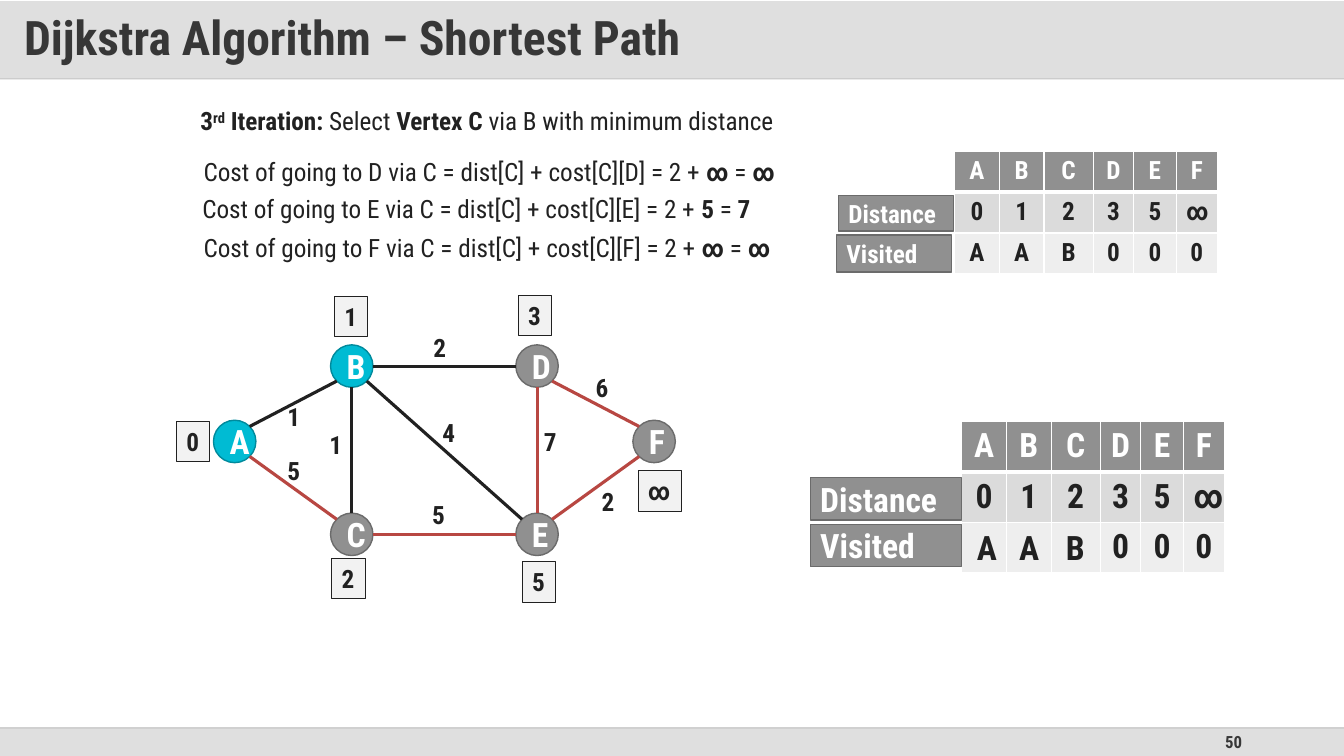
from math import hypot

from lxml.etree import SubElement
from pptx import Presentation
from pptx.dml.color import RGBColor
from pptx.enum.shapes import MSO_CONNECTOR, MSO_SHAPE
from pptx.enum.text import MSO_ANCHOR, MSO_AUTO_SIZE, PP_ALIGN
from pptx.oxml.ns import qn
from pptx.util import Cm, Pt

WHITE = RGBColor(0xFF, 0xFF, 0xFF)
INK = RGBColor(0x21, 0x21, 0x21)
DARK = RGBColor(0x37, 0x37, 0x37)
GREY = RGBColor(0x90, 0x90, 0x90)
EDGE = RGBColor(0x6B, 0x6B, 0x6B)
CYAN = RGBColor(0x00, 0xBB, 0xD3)
TEAL = RGBColor(0x00, 0x8A, 0x9C)
RED = RGBColor(0xB8, 0x47, 0x42)
PALE = RGBColor(0xF2, 0xF2, 0xF2)
BAND = RGBColor(0xDB, 0xDB, 0xDB)
LIGHT = RGBColor(0xEE, 0xEE, 0xEE)
SILVER = RGBColor(0xC0, 0xC0, 0xC0)
FOOT = RGBColor(0xDF, 0xDF, 0xDF)
RULE = RGBColor(0xD9, 0xD9, 0xD9)
BASE = RGBColor(0xBF, 0xBF, 0xBF)

SIZE = 1.07
NODES = {"A": (5.38, 10.59), "B": (8.33, 8.69), "C": (8.33, 12.93),
         "D": (13, 8.69), "E": (13, 12.93), "F": (15.95, 10.59)}
EDGES = {"AB": INK, "DF": RED, "AC": RED, "CE": RED, "EF": RED,
         "DE": RED, "BC": INK, "BD": INK, "BE": INK}
COSTS = [("1", 6.99, 9.98), ("1", 8.05, 10.69), ("5", 6.99, 11.35),
         ("2", 10.67, 8.26), ("4", 10.9, 10.39), ("7", 13.46, 10.62),
         ("6", 14.76, 9.25), ("2", 14.91, 12.12), ("5", 10.64, 12.47)]
MARKS = [("0", 4.45, 10.62, 0.84), ("1", 8.43, 7.47, 0.84), ("3", 13.06, 7.44, 0.84),
         ("2", 8.36, 14.07, 0.84), ("5", 13.16, 14.15, 0.84), ("∞", 16.08, 11.86, 1.09)]
SUMS = [("D", "∞", "∞", 4.88, 3.81, 15.27), ("E", "5", "7", 4.85, 4.75, 14.66),
        ("F", "∞", "∞", 4.88, 5.72, 15.06)]
COLS = [1.14, 1.12, 1.24, 1.02, 1.07, 1.04]
HEAD, DIST, SEEN = "ABCDEF", "01235∞", "AAB000"
TAGS = [("Distance", 21.13, 4.93, 2.9, 0.89, 18), ("Visited", 21.08, 5.92, 2.9, 0.94, 18),
        ("Distance", 20.42, 12.04, 3.81, 1.07, 24), ("Visited", 20.42, 13.21, 3.81, 1.07, 24)]


def fade(fill, part):
    """Set the opacity of a solid fill element, in percent."""
    SubElement(fill[0], qn("a:alpha")).set("val", str(part * 1000))


class Board:
    """Hold the style and the current slide."""

    def __init__(self, slide):
        self.slide = slide
        self.style = {"name": "Roboto Condensed", "bold": True}

    def words(self, frame, runs, size, tint, align=PP_ALIGN.LEFT):
        """Fill the first paragraph with (text, changes) runs."""
        line = frame.paragraphs[0]
        line.alignment = align
        for text, change in runs:
            run = line.add_run()
            run.text = text
            run.font.color.rgb = tint
            for key, value in {**self.style, "size": Pt(size), **change}.items():
                setattr(run.font, key, value)
        return line

    def shape(self, kind, box, fill, edge=None, width=1):
        """Draw a preset shape with no shadow."""
        item = self.slide.shapes.add_shape(kind, *map(Cm, box))
        item.shadow.inherit = False
        item.fill.solid()
        item.fill.fore_color.rgb = fill
        if edge is None:
            item.line.fill.background()
        else:
            item.line.color.rgb = edge
            item.line.width = Pt(width)
        item.text_frame.vertical_anchor = MSO_ANCHOR.MIDDLE
        return item

    def fit(self, frame):
        """Let a frame grow around a single line."""
        frame.word_wrap = False
        frame.auto_size = MSO_AUTO_SIZE.SHAPE_TO_FIT_TEXT

    def text(self, box, runs, size=18, tint=INK, align=PP_ALIGN.LEFT):
        """Place a text box that holds one line."""
        frame = self.slide.shapes.add_textbox(*map(Cm, box)).text_frame
        self.fit(frame)
        return self.words(frame, runs, size, tint, align)

    def line(self, start, end, tint, width):
        """Draw a straight line with no shadow."""
        item = self.slide.shapes.add_connector(
            MSO_CONNECTOR.STRAIGHT, *map(Cm, (*start, *end)))
        SubElement(item._element.spPr, qn("a:effectLst"))
        item.line.color.rgb = tint
        item.line.width = Pt(width)
        return item

    def edge(self, pair, tint):
        """Join the rims of two nodes at the nearest eighth of a turn."""
        half = SIZE / 2
        (ax, ay), (bx, by) = [(x + half, y + half) for x, y in map(NODES.get, pair)]
        dx, dy = (bx > ax) - (bx < ax), (by > ay) - (by < ay)
        step = half / hypot(dx, dy)
        self.line((ax + dx * step, ay + dy * step),
                  (bx - dx * step, by - dy * step), tint, 2.25)

    def cell(self, cell, word, fill, tint, size, lower):
        """Style one table cell and its white borders."""
        props = cell._tc.get_or_add_tcPr()
        for side, width in {"lnL": 1, "lnR": 1, "lnT": 1, "lnB": lower}.items():
            rim = SubElement(props, qn("a:" + side), w=str(int(Pt(width))))
            SubElement(SubElement(rim, qn("a:solidFill")), qn("a:srgbClr"), val=str(WHITE))
        cell.fill.solid()
        cell.fill.fore_color.rgb = fill
        if word:
            self.words(cell.text_frame, [(word, {})], size, tint, PP_ALIGN.CENTER)

    def table(self, left, top, tall, rows, size):
        """Add a table with a dark head row."""
        grid = self.slide.shapes.add_table(
            len(rows), len(COLS), Cm(left), Cm(top), Cm(sum(COLS)), Cm(tall * len(rows))).table
        grid.first_row = grid.horz_banding = False
        for col, wide in zip(grid.columns, COLS):
            col.width = Cm(wide)
        looks = [(GREY, WHITE, 3), (BAND, INK, 1), (LIGHT, INK, 1)]
        for r, (row, (fill, tint, lower)) in enumerate(zip(rows, looks)):
            grid.rows[r].height = Cm(tall)
            for c, word in enumerate(row):
                self.cell(grid.cell(r, c), word, fill, tint, size, lower)

    def frame(self):
        """Draw the title band and the footer."""
        self.shape(MSO_SHAPE.RECTANGLE, (0, 18.34, 33.87, 0.71), FOOT)
        foot = self.slide.shapes.add_textbox(*map(Cm, (23.93, 18.34, 7.62, 0.71))).text_frame
        foot.word_wrap, foot.vertical_anchor = True, MSO_ANCHOR.MIDDLE
        self.words(foot, [("50", {})], 12, DARK, PP_ALIGN.RIGHT)
        self.line((0, 1.98), (33.87, 1.98), RULE, 1)
        low = self.line((0, 18.34), (33.87, 18.34), BASE, 1)
        fade(low._element.spPr.find(qn("a:ln")).find(qn("a:solidFill")), 70)
        head = self.shape(MSO_SHAPE.RECTANGLE, (0, 0.03, 33.87, 1.98), SILVER)
        fade(head._element.spPr.find(qn("a:solidFill")), 50)
        pads = {"margin_left": 0.61, "margin_right": 0.61, "margin_top": 0.3, "margin_bottom": 0.3}
        for key, value in pads.items():
            setattr(head.text_frame, key, Cm(value))
        self.words(head.text_frame, [("Dijkstra Algorithm – Shortest Path", {})],
                   34, DARK).line_spacing = 0.9

    def graph(self):
        """Draw the nodes, edges, costs and distance marks."""
        for name, spot in NODES.items():
            fill, rim = (CYAN, TEAL) if name in "AB" else (GREY, EDGE)
            node = self.shape(MSO_SHAPE.OVAL, (*spot, SIZE, SIZE), fill, rim)
            self.words(node.text_frame, [(name, {})], 24, WHITE, PP_ALIGN.CENTER)
        for pair, tint in EDGES.items():
            self.edge(pair, tint)
        for word, x, y in COSTS:
            self.text((x, y, 0.84, 1.02), [(word, {})])
        for word, x, y, wide in MARKS:
            mark = self.shape(MSO_SHAPE.RECTANGLE, (x, y, wide, 1.02), PALE, INK, 0.5)
            self.fit(mark.text_frame)
            self.words(mark.text_frame, [(word, {})], 18, INK)


def main():
    """Build the slide and save it."""
    deck = Presentation()
    deck.slide_width, deck.slide_height = Cm(33.87), Cm(19.05)
    board = Board(deck.slides.add_slide(deck.slide_layouts[6]))
    board.frame()
    thin = {"bold": False}
    lead = board.text((4.8, 2.54, 15.75, 1.02), [
        ("3", {}), ("rd", {}), (" Iteration: ", {}), ("Select ", thin),
        ("Vertex C", {}), (" via B with minimum distance", thin)])
    lead.runs[1]._r.get_or_add_rPr().set("baseline", "30000")
    for goal, cost, total, x, y, wide in SUMS:
        start = f"Cost of going to {goal} via C = dist[C] + cost[C][{goal}] = 2 + "
        board.text((x, y, wide, 1.02),
                   [(start, thin), (cost, {}), (" = ", thin), (total, {})])
    board.graph()
    board.table(24.05, 3.81, 1.03, [HEAD, DIST, SEEN], 18)
    board.table(24.23, 10.62, 1.27, [HEAD, DIST, ["", "", "", *SEEN[3:]]], 24)
    for word, x, y, wide, tall, size in TAGS:
        tag = board.shape(MSO_SHAPE.RECTANGLE, (x, y, wide, tall), GREY, EDGE)
        board.words(tag.text_frame, [(word, {})], size, WHITE)
    for word, x in zip(SEEN, (24.36, 25.43, 26.59)):
        board.text((x, 13.16, 1.02, 1.27), [(word, {})], 24, INK, PP_ALIGN.CENTER)
    deck.save("out.pptx")


if __name__ == "__main__":
    main()
